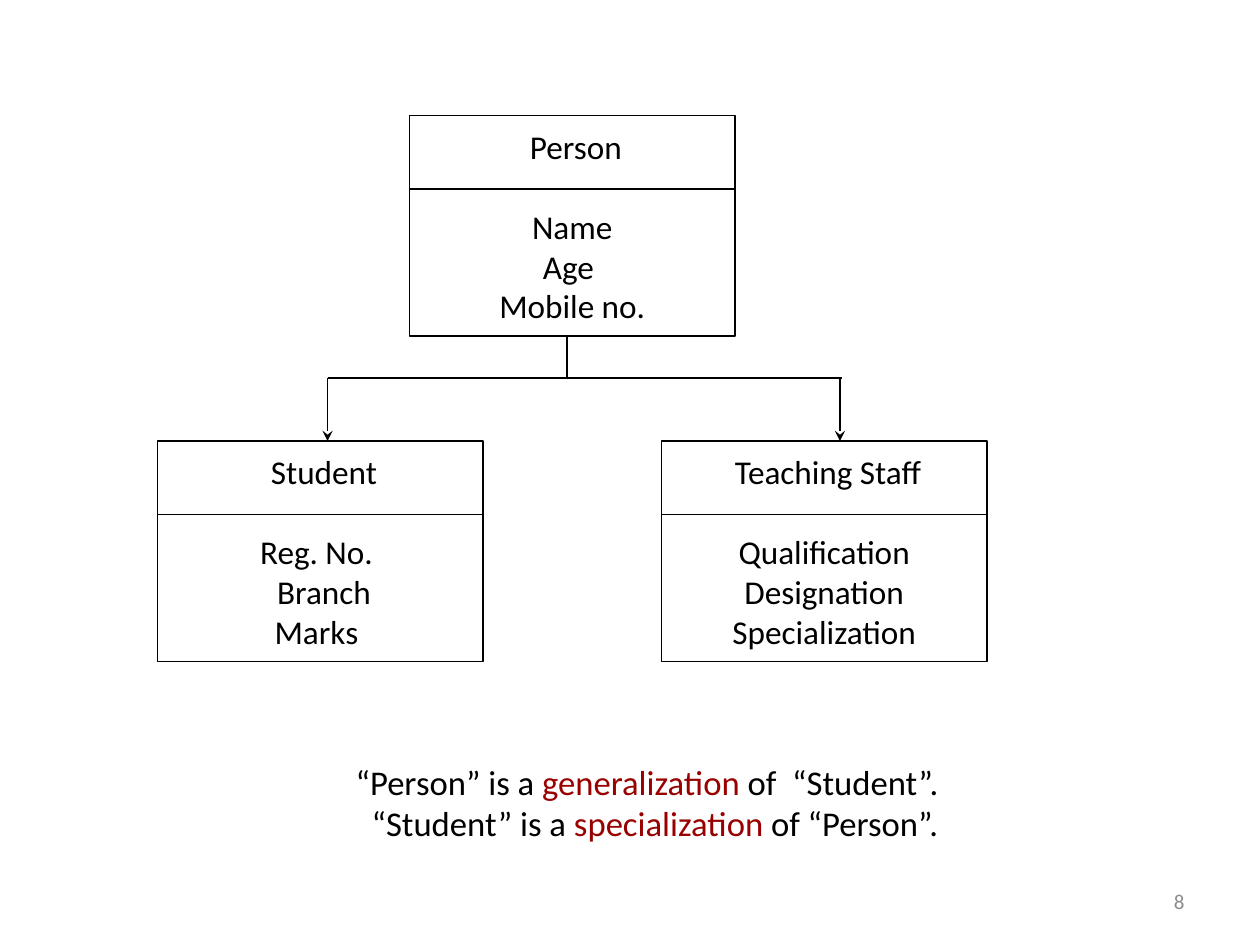
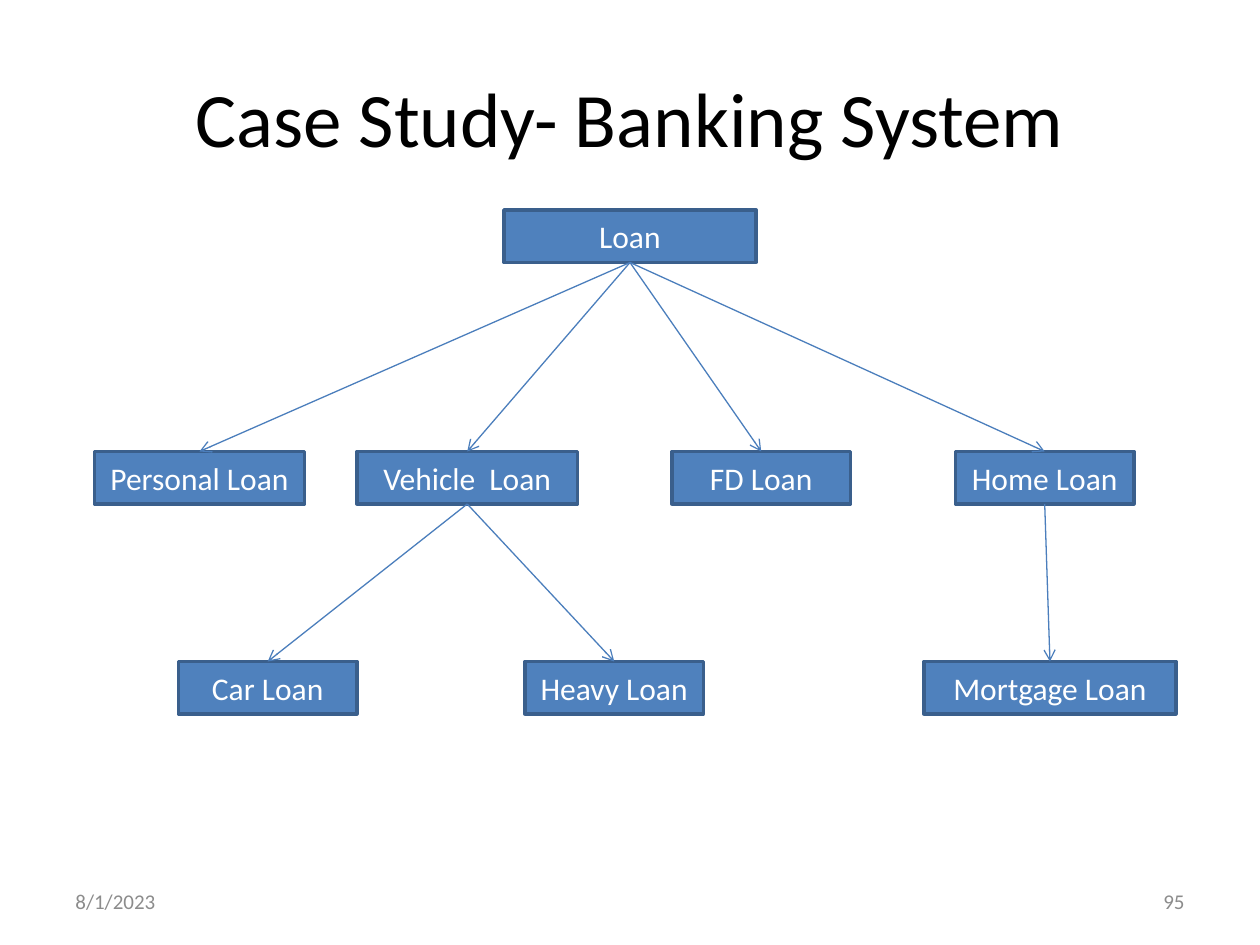
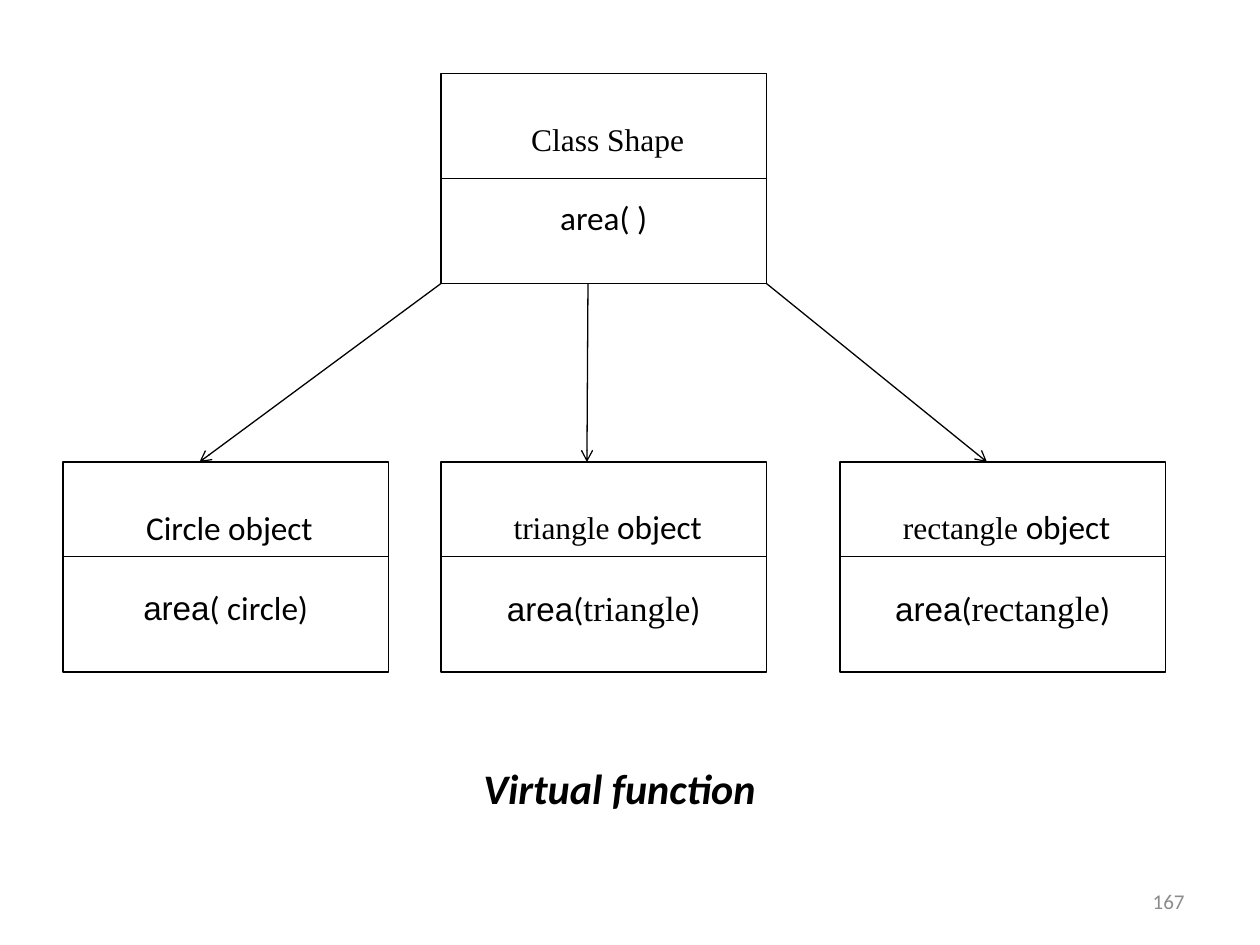
"""Build three slides of class-hierarchy diagrams."""
from dataclasses import dataclass
from typing import NamedTuple, Optional

from lxml.etree import SubElement
from pptx import Presentation
from pptx.dml.color import RGBColor
from pptx.enum.shapes import MSO_CONNECTOR, MSO_SHAPE
from pptx.enum.text import MSO_ANCHOR as Anchor, MSO_AUTO_SIZE as AutoSize, PP_ALIGN as Align
from pptx.oxml.ns import qn
from pptx.shapes.autoshape import Shape
from pptx.shapes.connector import Connector
from pptx.slide import Slide
from pptx.text.text import TextFrame
from pptx.util import Emu, Pt

EMU_PER_PX = 7620
TOP, LEFT, BOTTOM, RIGHT = range(4)


@dataclass(frozen=True)
class Theme:
    """Colours, fonts and sizes shared by the slides."""
    ink: str = "000000"
    paper: str = "FFFFFF"
    accent: str = "990000"
    node_fill: str = "4F81BD"
    node_line: str = "3A5F8C"
    link: str = "4B7EBC"
    muted: str = "8C8C8C"
    sans: str = "Calibri"
    serif: str = "Times New Roman"
    plain: str = "Arial"
    title_pt: float = 44
    caption_pt: float = 24
    statement_pt: float = 19.8
    argument_pt: float = 20
    class_pt: float = 19
    node_pt: float = 18
    footer_pt: float = 12
    thin_pt: float = 0.75
    border_pt: float = 2
    member_gap_pt: float = 23


THEME = Theme()


class Span(NamedTuple):
    """A stretch of text in one style."""
    text: str
    size: float = THEME.class_pt
    font: str = THEME.sans
    color: str = THEME.ink
    strong: bool = False


Line = tuple[Span, ...]


class Area(NamedTuple):
    """A rectangle in px."""
    left: int
    top: int
    width: int
    height: int


class ClassBox(NamedTuple):
    """A class with its name above a divider and its members below."""
    area: Area
    divider: int
    heading: Line
    members: tuple[Line, ...]


class Loan(NamedTuple):
    """A loan type and the type it derives from."""
    name: str
    left: int
    top: int
    width: int
    parent: Optional[str] = None


class Link(NamedTuple):
    """A straight line between two points in px."""
    start: tuple[int, int]
    end: tuple[int, int]
    head: Optional[str] = None


def px(length: int) -> Emu:
    """Convert px to EMU."""
    return Emu(length * EMU_PER_PX)


def rgb(color: str) -> RGBColor:
    """Convert a hex string to a colour."""
    return RGBColor.from_string(color)


def write(frame: TextFrame, lines: tuple[Line, ...], align: Align = Align.CENTER) -> None:
    """Fill a text frame with one paragraph per line."""
    for index, line in enumerate(lines):
        paragraph = frame.add_paragraph() if index else frame.paragraphs[0]
        paragraph.alignment = align
        for span in line:
            run = paragraph.add_run()
            run.text = span.text
            run.font.name = span.font
            run.font.size = Pt(span.size)
            run.font.color.rgb = rgb(span.color)
            run.font.bold = run.font.italic = span.strong


def add_text(slide: Slide, area: Area, *lines: Line, align: Align = Align.CENTER) -> TextFrame:
    """Add a wrapped, vertically centred text box."""
    frame = slide.shapes.add_textbox(*map(px, area)).text_frame
    frame.word_wrap = True
    frame.vertical_anchor = Anchor.MIDDLE
    write(frame, lines, align)
    return frame


def add_box(slide: Slide, area: Area, border: str, weight: float, fill: Optional[str] = None) -> Shape:
    """Add a bordered rectangle."""
    box = slide.shapes.add_shape(MSO_SHAPE.RECTANGLE, *map(px, area))
    box.shadow.inherit = False
    box.line.color.rgb = rgb(border)
    box.line.width = Pt(weight)
    if fill:
        box.fill.solid()
        box.fill.fore_color.rgb = rgb(fill)
    else:
        box.fill.background()
    box.text_frame.vertical_anchor = Anchor.MIDDLE
    return box


def add_link(slide: Slide, link: Link, color: str = THEME.ink) -> Connector:
    """Add a thin straight line with an optional arrowhead."""
    connector = slide.shapes.add_connector(
        MSO_CONNECTOR.STRAIGHT, *map(px, link.start + link.end))
    connector.line.color.rgb = rgb(color)
    connector.line.width = Pt(THEME.thin_pt)
    properties = connector.element.spPr
    if link.head:
        SubElement(properties.find(qn("a:ln")), qn("a:tailEnd"), type=link.head)
    SubElement(properties, qn("a:effectLst"))
    return connector


def add_class(slide: Slide, item: ClassBox) -> None:
    """Draw a class box and its divider."""
    area = item.area
    box = add_box(slide, area, THEME.ink, THEME.thin_pt)
    frame = box.text_frame
    frame.word_wrap = False
    write(frame, (item.heading, *item.members))
    frame.paragraphs[1].space_before = Pt(THEME.member_gap_pt)
    level = area.top + item.divider
    divider = add_link(slide, Link((area.left, level), (area.left + area.width, level)))
    if item.divider * 2 == area.height:
        divider.begin_connect(box, LEFT)
        divider.end_connect(box, RIGHT)


def add_footer(slide: Slide, number: str, date: str = "") -> None:
    """Add the slide number and, when given, the date."""
    for text, left, align in ((date, 60, Align.LEFT), (number, 860, Align.RIGHT)):
        if text:
            add_text(slide, Area(left, 834, 280, 48),
                     (Span(text, THEME.footer_pt, color=THEME.muted),), align=align)


def statement(before: str, term: str, after: str) -> Line:
    """Make a sentence with its key term accented."""
    size = THEME.statement_pt
    return Span(before, size), Span(term, size, color=THEME.accent), Span(after, size)


def build_person(slide: Slide) -> None:
    """Draw the generalization of persons."""
    statements = add_text(
        slide, Area(80, 720, 1080, 120),
        statement("“Person” is a ", "generalization", " of  “Student”. "),
        statement(" “Student” is a ", "specialization", " of “Person”."))
    statements.margin_bottom = px(38)
    for name, left, top, members in (
        (" Person", 390, 110, ("Name", "Age ", "Mobile no.")),
        (" Student", 150, 420, ("Reg. No. ", " Branch", "Marks ")),
        (" Teaching Staff", 630, 420, ("Qualification", "Designation", "Specialization")),
    ):
        add_class(slide, ClassBox(Area(left, top, 310, 210), 70, (Span(name),),
                                  tuple((Span(member),) for member in members)))
    for link in (
        Link((312, 360), (312, 420), "stealth"),
        Link((800, 360), (800, 420), "stealth"),
        Link((312, 360), (802, 360)),
        Link((540, 320), (540, 360)),
    ):
        add_link(slide, link)
    add_footer(slide, "8")


LOANS = (
    Loan("Loan", 480, 200, 240),
    Loan("Personal Loan", 90, 430, 200, "Loan"),
    Loan("Vehicle  Loan", 340, 430, 210, "Loan"),
    Loan("FD Loan", 640, 430, 170, "Loan"),
    Loan("Home Loan", 910, 430, 170, "Loan"),
    Loan("Car Loan", 170, 630, 170, "Vehicle  Loan"),
    Loan("Heavy Loan", 500, 630, 170, "Vehicle  Loan"),
    Loan("Mortgage Loan", 880, 630, 240, "Home Loan"),
)


def build_banking(slide: Slide) -> None:
    """Draw the tree of loans."""
    add_text(slide, Area(60, 36, 1080, 150),
             (Span("Case Study- Banking System", THEME.title_pt),))
    nodes: dict[str, Shape] = {}
    for loan in LOANS:
        node = add_box(slide, Area(loan.left, loan.top, loan.width, 50),
                       THEME.node_line, THEME.border_pt, THEME.node_fill)
        write(node.text_frame, ((Span(loan.name, THEME.node_pt, color=THEME.paper),),))
        nodes[loan.name] = node
    for loan in LOANS:
        if loan.parent:
            arrow = add_link(slide, Link((0, 0), (0, 0), "arrow"), THEME.link)
            arrow.begin_connect(nodes[loan.parent], BOTTOM)
            arrow.end_connect(nodes[loan.name], TOP)
    add_footer(slide, "95", "8/1/2023")


def serif(text: str, size: float = THEME.node_pt) -> Span:
    """Make a serif span."""
    return Span(text, size, THEME.serif)


def build_shapes(slide: Slide) -> None:
    """Draw the virtual function and its overrides."""
    area_name = Span("area", font=THEME.plain)
    objects = [(60, (Span(" Circle object"),), (area_name, Span("( circle)")))]
    for left, name in ((420, "triangle"), (800, "rectangle")):
        objects.append((left, (serif(f" {name}"), Span(" object")),
                        (area_name, Span("("), serif(name, THEME.argument_pt), Span(")"))))
    add_class(slide, ClassBox(Area(420, 70, 310, 200), 100,
                              (serif(" Class Shape"),), ((Span("area( )"),),)))
    for left, heading, method in objects:
        add_class(slide, ClassBox(Area(left, 440, 310, 200), 90, heading, (method,)))
    for start, end in ((560, 559), (730, 940), (420, 190)):
        add_link(slide, Link((start, 270), (end, 440), "arrow"))
    caption = add_text(slide, Area(260, 720, 660, 61),
                       (Span("Virtual function", THEME.caption_pt, strong=True),))
    caption.vertical_anchor = Anchor.TOP
    caption.auto_size = AutoSize.SHAPE_TO_FIT_TEXT
    add_footer(slide, "167")


def main() -> None:
    """Build and save the presentation."""
    deck = Presentation()
    deck.slide_width, deck.slide_height = px(1200), px(900)
    for build in (build_person, build_banking, build_shapes):
        build(deck.slides.add_slide(deck.slide_layouts[6]))
    deck.save("out.pptx")


if __name__ == "__main__":
    main()
